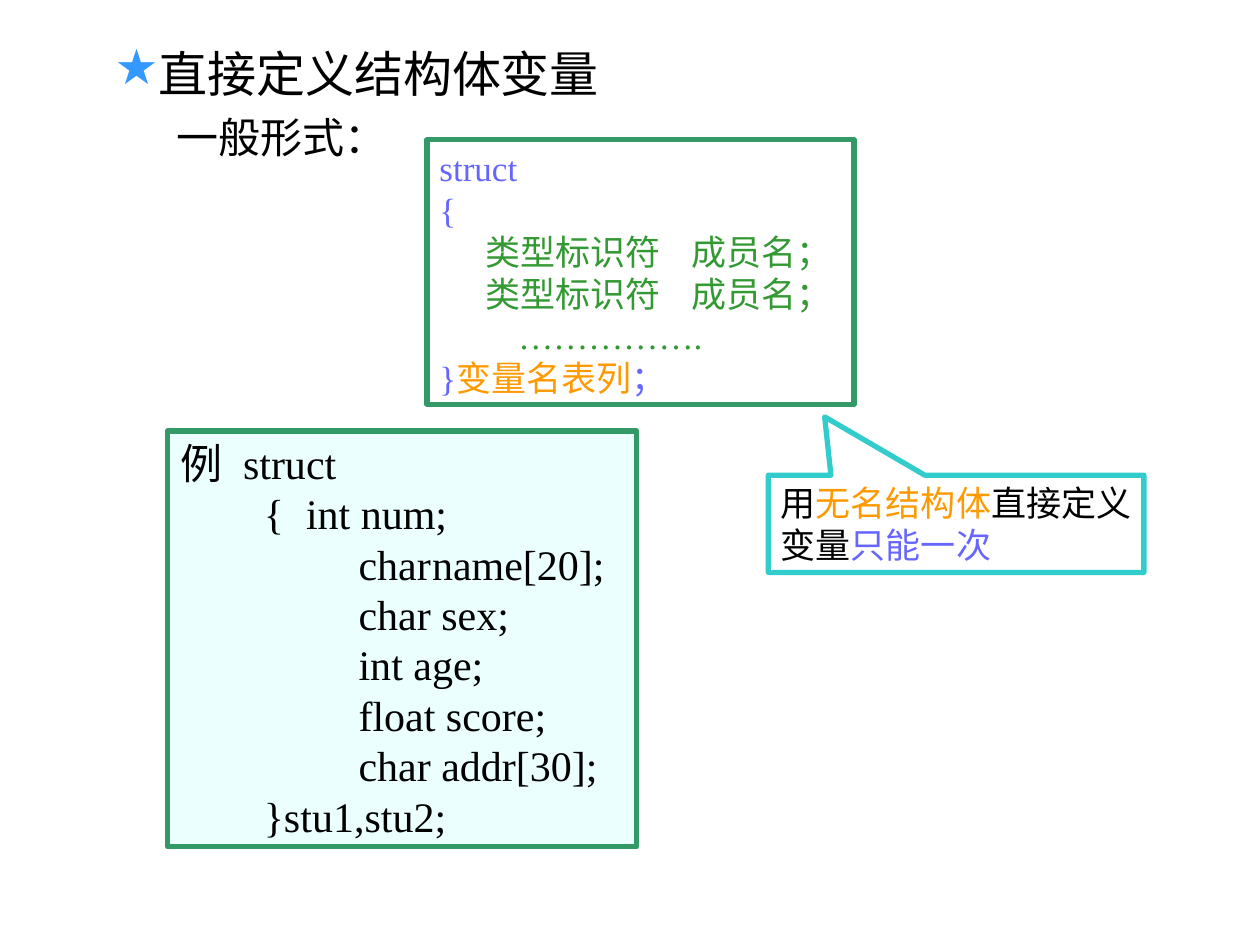
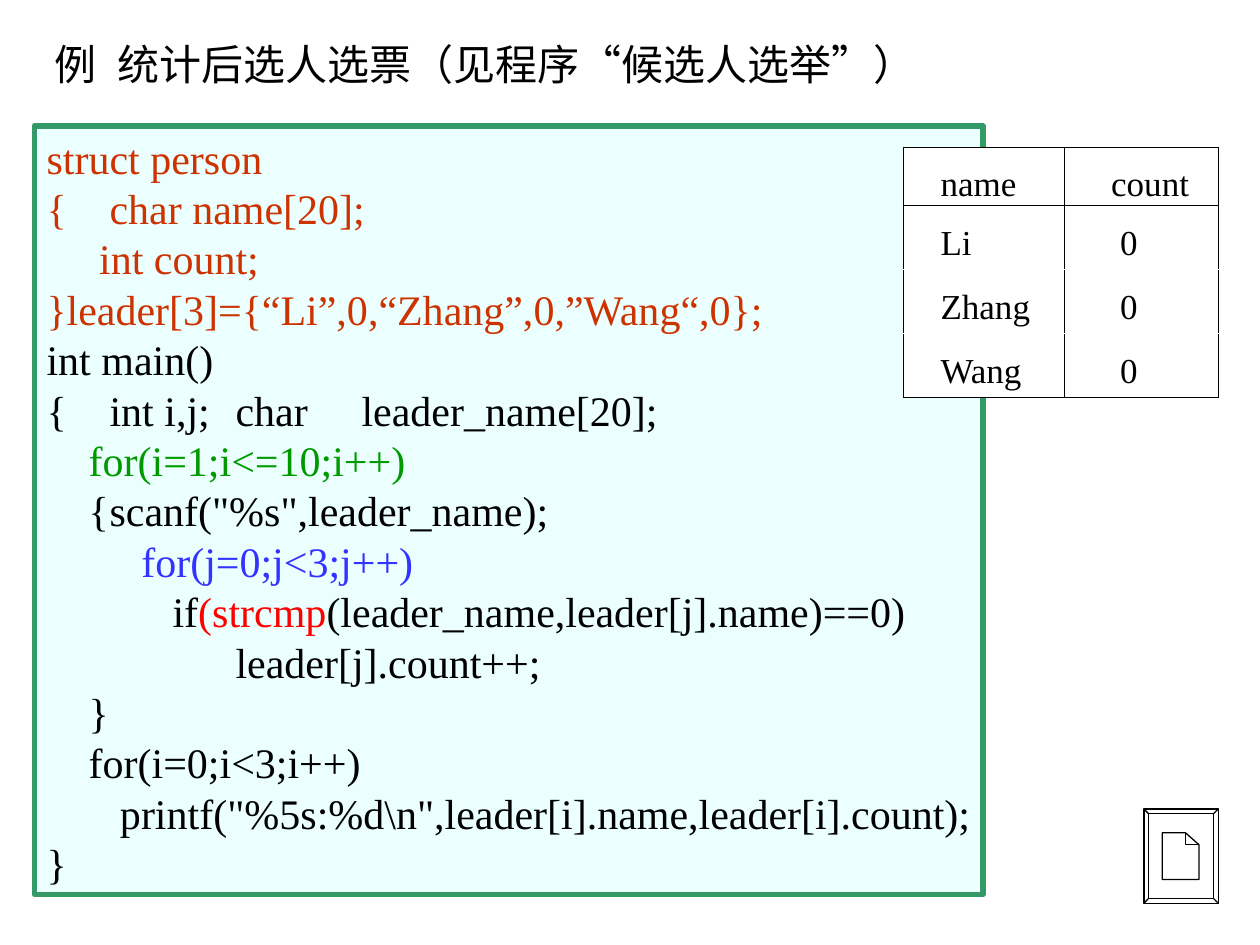
from dataclasses import dataclass

from lxml.etree import SubElement
from pptx import Presentation
from pptx.dml.color import RGBColor
from pptx.enum.shapes import MSO_SHAPE as Shape
from pptx.enum.text import MSO_ANCHOR as Anchor, MSO_AUTO_SIZE as AutoSize, PP_ALIGN as Align
from pptx.oxml.ns import qn
from pptx.util import Cm, Pt


@dataclass(frozen=True)
class Theme:
    """Colours, type sizes and line weights shared by the pages."""
    font: str = "Times New Roman"
    heading: int = 28
    code: int = 24
    note: int = 20
    thick: float = 3
    thin: float = 0.75
    black: str = "000000"
    white: str = "FFFFFF"
    star: str = "3399FF"
    frame: str = "339966"
    panel: str = "EBFFFF"
    callout: str = "33CCCC"
    keyword: str = "6666FF"
    member: str = "339933"
    variable: str = "FF9900"
    struct: str = "CC3300"
    outer_loop: str = "009900"
    inner_loop: str = "3333FF"
    library: str = "FF0000"


THEME = Theme()


@dataclass(frozen=True)
class Line:
    """A line of coloured spans; start and stops count space widths."""
    spans: tuple
    start: float = 0
    stops: tuple = ()


def line(text, start=0, stops=(), color=THEME.black):
    """Make a line in a single colour."""
    return Line(((text, color),), start, stops)


def columns(count, size):
    """Return the length of a number of spaces at a type size."""
    return Cm(round(count * size * 0.25 * 2.54 / 72, 2))


def write_line(para, content, size, bullet=None):
    """Write one line into a paragraph with its indent, tabs and fonts."""
    props = para._p.get_or_add_pPr()
    hang = Cm(0.79) if bullet else 0
    props.set("marL", str(hang))
    props.set("indent", str(columns(content.start, size) - hang))
    if bullet:
        color = SubElement(props, qn("a:buClr"))
        SubElement(color, qn("a:srgbClr"), val=THEME.star)
        SubElement(props, qn("a:buChar"), char=bullet)
    else:
        SubElement(props, qn("a:buNone"))
    if content.stops:
        tabs = SubElement(props, qn("a:tabLst"))
        for stop in content.stops:
            SubElement(tabs, qn("a:tab"), pos=str(columns(stop, size)), algn="l")
    para.alignment = Align.LEFT
    para.line_spacing = Pt(size * 1.2)
    para.space_before = Pt(0)
    para.font.name = THEME.font
    para.font.size = Pt(size)
    para.font.color.rgb = RGBColor.from_string(content.spans[0][1])
    for text, color in content.spans:
        span = para.add_run()
        span.text = text
        if len(content.spans) > 1:
            span.font.color.rgb = RGBColor.from_string(color)


def write_lines(frame, lines, size, anchor, bullet=None):
    """Fill a text frame with lines."""
    frame.word_wrap = True
    frame.auto_size = AutoSize.NONE
    frame.vertical_anchor = anchor
    frame.margin_left, frame.margin_right = Cm(0.25), 0
    frame.margin_top = frame.margin_bottom = Cm(0.13)
    for index, content in enumerate(lines):
        para = frame.add_paragraph() if index else frame.paragraphs[0]
        write_line(para, content, size, bullet)


def fill_placeholder(holder, place, content, size, bullet=None):
    """Move a placeholder and write its line."""
    holder.left, holder.top, holder.width, holder.height = map(Cm, place)
    write_lines(holder.text_frame, [content], size, Anchor.TOP, bullet)


def paint(shape, fill, outline, weight):
    """Give a shape its fill and line without a shadow."""
    shape.shadow.inherit = False
    if fill:
        shape.fill.solid()
        shape.fill.fore_color.rgb = RGBColor.from_string(fill)
    else:
        shape.fill.background()
    shape.line.color.rgb = RGBColor.from_string(outline)
    shape.line.width = Pt(weight)


def add_panel(page, place, lines, size, fill=None, outline=THEME.frame, kind=Shape.RECTANGLE):
    """Add a framed shape holding lines of text."""
    box = page.shapes.add_shape(kind, *map(Cm, place))
    paint(box, fill, outline, THEME.thick)
    write_lines(box.text_frame, lines, size, Anchor.MIDDLE)
    return box


def draw_border(cell, sides):
    """Draw thin black lines on the named sides of a cell."""
    props = cell._tc.get_or_add_tcPr()
    for side in sides:
        edge = SubElement(props, qn(f"a:ln{side}"), w=str(Pt(THEME.thin)))
        fill = SubElement(edge, qn("a:solidFill"))
        SubElement(fill, qn("a:srgbClr"), val=THEME.black)


def add_vote_table(page, rows):
    """Add the table of names and counts, ruled under its header only."""
    last = len(rows) - 1
    holder = page.shapes.add_table(len(rows), 2, Cm(18.21), Cm(2.97), Cm(6.35), Cm(5.03))
    table = holder.table
    table.first_row = table.horz_banding = False
    table.columns[0].width, table.columns[1].width = Cm(3.25), Cm(3.1)
    for row, values in enumerate(rows):
        table.rows[row].height = Cm(1.29) if row else Cm(1.17)
        for column, value in enumerate(values):
            cell = table.cell(row, column)
            sides = ["L", "R"] + ["T"] * (row < 2) + ["B"] * (row in (0, last))
            draw_border(cell, sides)
            cell.fill.solid()
            cell.fill.fore_color.rgb = RGBColor.from_string(THEME.white)
            cell.vertical_anchor = Anchor.BOTTOM
            cell.margin_left = Cm((1.12 if row else 0.94) if column else 0.75)
            cell.margin_right = cell.margin_top = 0
            cell.margin_bottom = Cm(0.13 if row else 0.03)
            write_line(cell.text_frame.paragraphs[0], line(value), THEME.note)


def add_document_button(page, left, top, width, height):
    """Draw a bevelled button with a folded sheet as one outline."""
    rim = 0.09
    outer = [(0, 0), (width, 0), (width, height), (0, height)]
    inner = [(abs(x - rim), abs(y - rim)) for x, y in outer]
    sheet = [(0.37, 0.48), (0.84, 0.48), (1.11, 0.72), (1.11, 1.42), (0.37, 1.42)]
    fold = [(0.84, 0.48), (0.84, 0.72), (1.11, 0.72)]
    inner = [(min(x, width - rim), min(y, height - rim)) for x, y in inner]
    closed = [(points, True) for points in (outer, inner, sheet)]
    opened = [(points, False) for points in [*zip(outer, inner), fold]]
    builder = page.shapes.build_freeform(Cm(left), Cm(top))
    for points, close in closed + opened:
        corners = [(Cm(left + x), Cm(top + y)) for x, y in points]
        builder.move_to(*corners[0])
        builder.add_line_segments(corners[1:], close=close)
    paint(builder.convert_to_shape(), THEME.white, THEME.black, THEME.thin)


def build_definition_page(deck):
    """Build the page on defining structure variables directly."""
    page = deck.slides.add_slide(deck.slide_layouts[1])
    fill_placeholder(page.shapes.title, (2.06, 0.74, 22, 1.4),
                     line("直接定义结构体变量"), THEME.heading, "★")
    fill_placeholder(page.placeholders[1], (3.3, 2.11, 5.5, 1.27),
                     line("一般形式："), THEME.code)
    member = line("类型标识符\t成员名；", 5.3, (28.8,), THEME.member)
    add_panel(page, (8.61, 2.82, 8.61, 5.33), [
        line("struct", color=THEME.keyword),
        line("{", color=THEME.keyword),
        member,
        member,
        line("…………….", 9, color=THEME.member),
        Line((("}", THEME.keyword), ("变量名表列", THEME.variable), ("；", THEME.keyword))),
    ], THEME.note)
    fields = ["char sex;", "int age;", "float score;", "char addr[30];"]
    add_panel(page, (3.38, 8.69, 9.45, 8.38), [
        line("例\tstruct", stops=(8.4,)),
        line("{\tint num;", 8, (16.9,)),
        line("char\tname[20];", 17, (25.9,)),
        *[line(field, 17) for field in fields],
        line("}stu1,stu2;", 8),
    ], THEME.code, THEME.panel)
    callout = add_panel(page, (15.49, 9.58, 7.57, 1.96), [
        Line((("用", THEME.black), ("无名结构体", THEME.variable), ("直接定义", THEME.black))),
        Line((("变量", THEME.black), ("只能一次", THEME.keyword))),
    ], THEME.note, outline=THEME.callout, kind=Shape.RECTANGULAR_CALLOUT)
    callout.adjustments[0], callout.adjustments[1] = -0.35, -1.1


def build_vote_page(deck):
    """Build the page with the vote counting program."""
    page = deck.slides.add_slide(deck.slide_layouts[5])
    add_document_button(page, 23.06, 16.31, 1.5, 1.9)
    fill_placeholder(page.shapes.title, (0.84, 0.64, 18, 1.27),
                     line("例\t统计后选人选票（见程序“候选人选举”）", stops=(6,)), THEME.code)
    add_panel(page, (0.69, 2.54, 19.13, 15.49), [
        line("struct person", color=THEME.struct),
        line("{\tchar name[20];", 0, (4.9,), THEME.struct),
        line("int count;", 5, color=THEME.struct),
        line("}leader[3]={“Li”,0,“Zhang”,0,”Wang“,0};", color=THEME.struct),
        line("int main()"),
        line("{\tint i,j;\tchar\tleader_name[20];", 0, (5.9, 17.5, 27.4)),
        line("for(i=1;i<=10;i++)", 4, color=THEME.outer_loop),
        line("{\tscanf(\"%s\",leader_name);", 4, (8.9,)),
        line("for(j=0;j<3;j++)", 9, color=THEME.inner_loop),
        Line((("if", THEME.black), ("(strcmp", THEME.library),
              ("(leader_name,leader[j].name)==0)", THEME.black)), 12),
        line("leader[j].count++;", 18),
        line("}", 4),
        line("for(i=0;i<3;i++)", 4),
        line("printf(\"%5s:%d\\n\",leader[i].name,leader[i].count);", 7),
        line("}"),
    ], THEME.code, THEME.panel)
    add_vote_table(page, [("name", "count"), ("Li", "0"), ("Zhang", "0"), ("Wang", "0")])


def main():
    """Build and save the deck."""
    deck = Presentation()
    deck.slide_width, deck.slide_height = Cm(25.4), Cm(19.05)
    build_definition_page(deck)
    build_vote_page(deck)
    deck.save("out.pptx")


if __name__ == "__main__":
    main()
